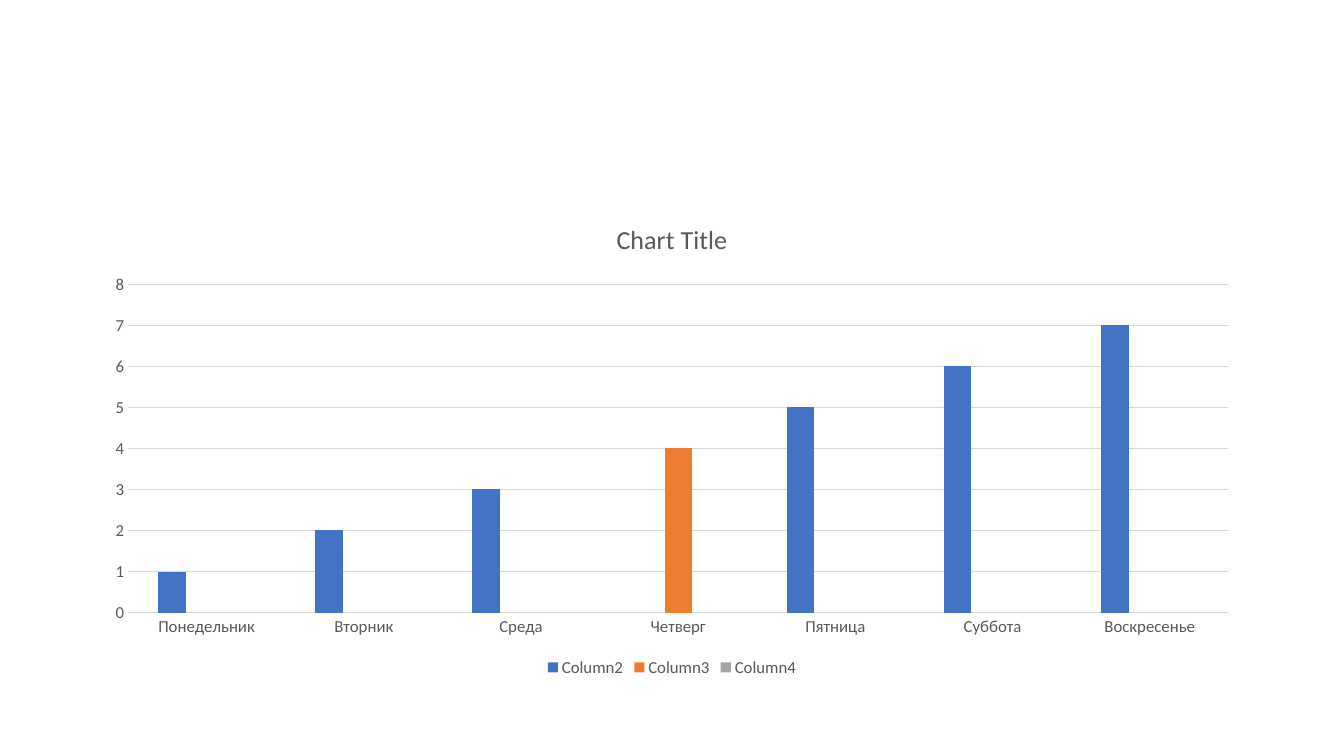
import dataclasses
from typing import Any

import pptx
import pptx.chart.data
import pptx.dml.color
import pptx.enum.chart
import pptx.util


@dataclasses.dataclass(frozen=True)
class Theme:
    face: str = "Calibri"
    text: str = "595959"
    rule: str = "D9D9D9"
    blue: str = "4472C4"
    orange: str = "ED7D31"
    gray: str = "A5A5A5"
    title: float = 18.6
    label: float = 12
    line: float = 0.75


@dataclasses.dataclass(frozen=True)
class Series:
    name: str
    color: str
    values: tuple[int | None, ...]


THEME = Theme()
PX = 9525  # EMU in one px, 96 px to the inch
DAYS = ("Понедельник", "Вторник", "Среда", "Четверг",
        "Пятница", "Суббота", "Воскресенье")
SERIES = (
    Series("Column2", THEME.blue, (1, 2, 3, None, 5, 6, 7)),
    Series("Column3", THEME.orange, (None, None, None, 4, None, None, None)),
    Series("Column4", THEME.gray, (None,) * len(DAYS)),
)


def px(count: int) -> pptx.util.Emu:
    return pptx.util.Emu(count * PX)


def rgb(color: str) -> pptx.dml.color.RGBColor:
    return pptx.dml.color.RGBColor.from_string(color)


def set_font(font: Any, size: float) -> None:
    font.name = THEME.face
    font.size = pptx.util.Pt(size)
    font.bold = False
    font.color.rgb = rgb(THEME.text)


def set_line(line: Any) -> None:
    line.color.rgb = rgb(THEME.rule)
    line.width = pptx.util.Pt(THEME.line)


def add_chart(slide: Any) -> Any:
    data = pptx.chart.data.CategoryChartData()
    data.categories = DAYS
    for item in SERIES:
        data.add_series(item.name, item.values)
    kind = pptx.enum.chart.XL_CHART_TYPE.COLUMN_CLUSTERED
    frame = slide.shapes.add_chart(
        kind, px(88), px(192), px(1104), px(457), data)
    return frame.chart


def style_bars(chart: Any) -> None:
    plot = chart.plots[0]
    plot.gap_width = 219
    plot.overlap = -27
    plot.vary_by_categories = False
    for bars, item in zip(plot.series, SERIES):
        bars.invert_if_negative = False
        bars.format.fill.solid()
        bars.format.fill.fore_color.rgb = rgb(item.color)


def style_axes(chart: Any) -> None:
    days, scale = chart.category_axis, chart.value_axis
    for axis in (days, scale):
        axis.major_tick_mark = pptx.enum.chart.XL_TICK_MARK.NONE
        axis.minor_tick_mark = pptx.enum.chart.XL_TICK_MARK.NONE
        set_font(axis.tick_labels.font, THEME.label)
    set_line(days.format.line)
    scale.format.line.fill.background()
    scale.has_major_gridlines = True
    set_line(scale.major_gridlines.format.line)


def style_text(chart: Any) -> None:
    set_font(chart.font, THEME.label)
    chart.has_title = True
    chart.chart_title.include_in_layout = False
    title = chart.chart_title.text_frame
    title.text = "Chart Title"
    set_font(title.paragraphs[0].font, THEME.title)
    chart.has_legend = True
    chart.legend.position = pptx.enum.chart.XL_LEGEND_POSITION.BOTTOM
    chart.legend.include_in_layout = False
    set_font(chart.legend.font, THEME.label)


def main() -> None:
    # Slide
    deck = pptx.Presentation()
    deck.slide_width, deck.slide_height = px(1280), px(720)
    slide = deck.slides.add_slide(deck.slide_layouts[6])

    # Chart of the week
    chart = add_chart(slide)
    style_text(chart)
    style_axes(chart)
    style_bars(chart)

    deck.save("out.pptx")


if __name__ == "__main__":
    main()
